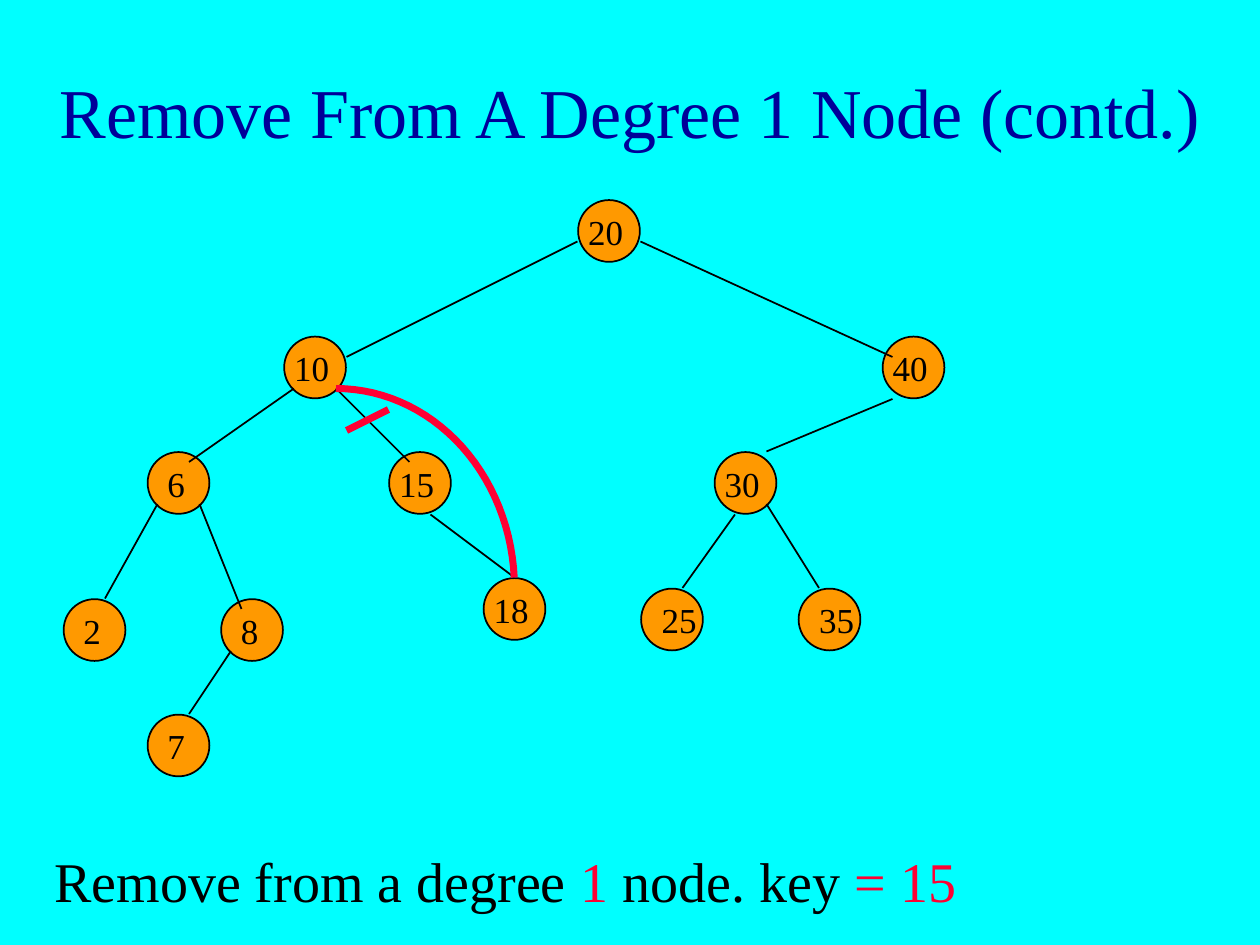
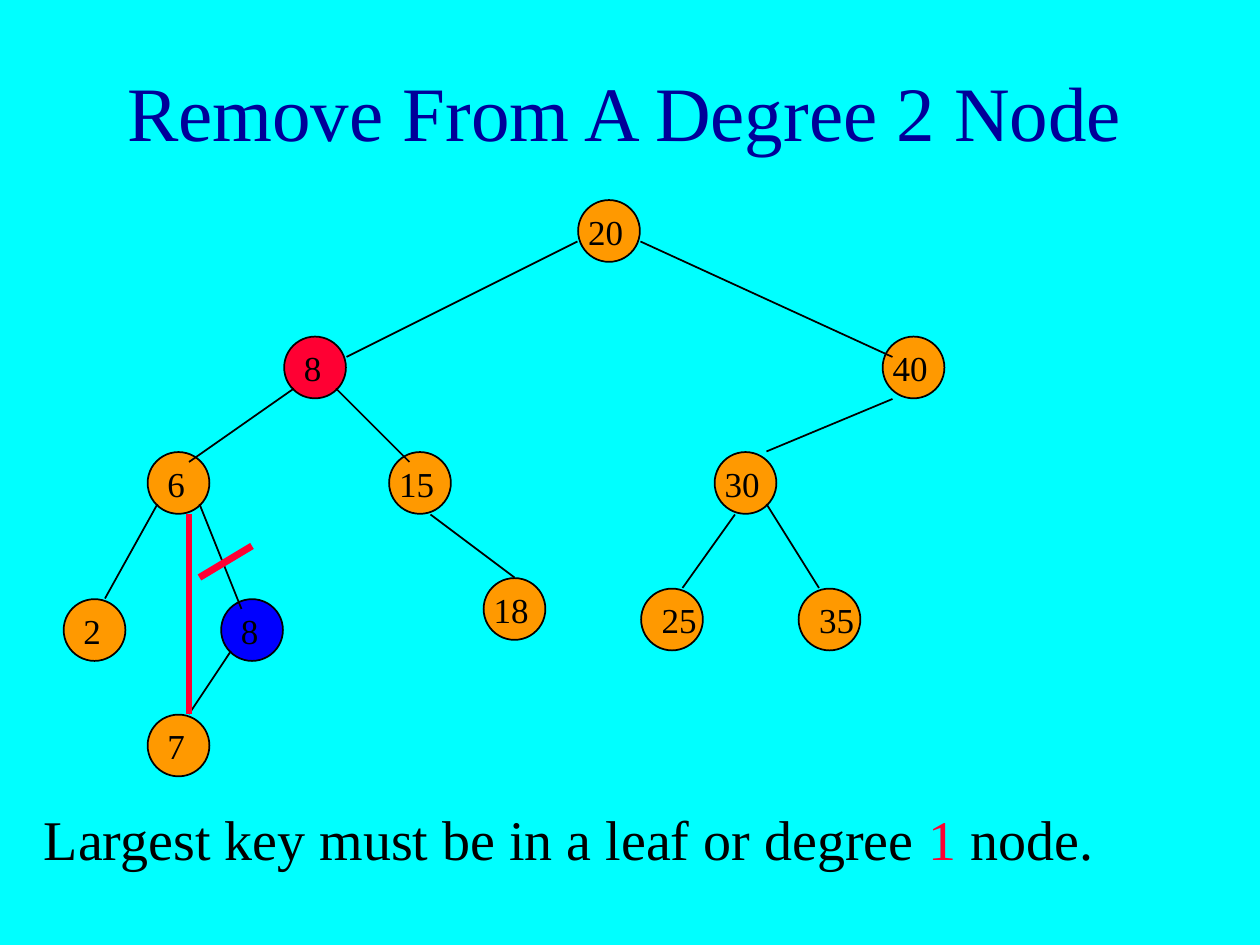
from math import cos, radians, sin

from lxml.etree import SubElement
from pptx import Presentation
from pptx.dml.color import RGBColor
from pptx.enum.shapes import MSO_CONNECTOR, MSO_SHAPE
from pptx.enum.text import MSO_ANCHOR, PP_ALIGN
from pptx.oxml.ns import qn
from pptx.util import Inches, Pt

CYAN = RGBColor(0x00, 0xFF, 0xFF)
NAVY = RGBColor(0x00, 0x00, 0x99)
BLACK = RGBColor(0x00, 0x00, 0x00)
ORANGE = RGBColor(0xFF, 0x99, 0x00)
RED = RGBColor(0xFF, 0x00, 0x33)
BLUE = RGBColor(0x00, 0x00, 0xFF)

FONT = "Times New Roman"
COLS, ROWS = 120, 90
NODE_SIZE = 5.88

# Key, then centre column and row
NODES = [
    (20, 58, 22), (10, 30, 35), (40, 87, 35), (6, 17, 46),
    (15, 40, 46), (30, 71, 46), (2, 9, 60), (8, 24, 60),
    (25, 64, 59), (35, 79, 59), (7, 17, 71), (18, 49, 58),
]
# Parent end, then child end
EDGES = [
    (55, 23, 33, 34), (61, 23, 85, 34), (28, 37, 18, 44),
    (32, 37, 39, 44), (85, 38, 73, 43), (15, 48, 10, 57),
    (19, 48, 23, 58), (70, 49, 65, 56), (73, 48, 78, 56),
    (22, 62, 18, 68), (41, 49, 49, 55),
]
LABEL_SHIFT = {25: 0.7, 35: 0.7}


class TreeDeck:
    """Style and current slide, on a grid of COLS by ROWS cells."""

    def __init__(self):
        self.prs = Presentation()
        self.prs.slide_width, self.prs.slide_height = Inches(10), Inches(7.5)
        self.s = None

    def x(self, col):
        return round(self.prs.slide_width * col / COLS)

    def y(self, row):
        return round(self.prs.slide_height * row / ROWS)

    def box(self, left, top, width, height):
        return self.x(left), self.y(top), self.x(width), self.y(height)

    def new_slide(self):
        self.s = self.prs.slides.add_slide(self.prs.slide_layouts[6])
        fill = self.s.background.fill
        fill.solid()
        fill.fore_color.rgb = CYAN

    def text(self, runs, at, size, color=BLACK, align=PP_ALIGN.LEFT,
             anchor=MSO_ANCHOR.TOP, wrap=True):
        """Add one paragraph; runs is a string or (text, colour) pairs."""
        tf = self.s.shapes.add_textbox(*self.box(*at)).text_frame
        tf.word_wrap = wrap
        tf.vertical_anchor = anchor
        p = tf.paragraphs[0]
        p.alignment = align
        for words, shade in [(runs, color)] if isinstance(runs, str) else runs:
            r = p.add_run()
            r.text = words
            r.font.name, r.font.size = FONT, Pt(size)
            r.font.color.rgb = shade

    def title(self, words, left, width, size):
        self.text(words, (left, 3, width, 15), size, color=NAVY,
                  align=PP_ALIGN.CENTER, anchor=MSO_ANCHOR.MIDDLE)

    def caption(self, runs, left, top):
        self.text(runs, (left, top, 108, 7.56), 32)

    def node(self, col, row, fill):
        half = NODE_SIZE / 2
        sp = self.s.shapes.add_shape(MSO_SHAPE.OVAL, *self.box(
            col - half, row - half, NODE_SIZE, NODE_SIZE))
        sp.shadow.inherit = False
        sp.fill.solid()
        sp.fill.fore_color.rgb = fill
        sp.line.color.rgb = BLACK
        sp.line.width = Pt(1)

    def label(self, key, col, row, shift):
        words = str(key)
        width, height = 2.4 + 1.68 * len(words), 5.16
        at = (col + shift - width / 2, row - height / 2, width, height)
        self.text(words, at, 20, wrap=False)

    def line(self, x1, y1, x2, y2, color=BLACK, weight=1):
        c = self.s.shapes.add_connector(
            MSO_CONNECTOR.STRAIGHT,
            self.x(x1), self.y(y1), self.x(x2), self.y(y2))
        c.line.color.rgb = color
        c.line.width = Pt(weight)
        SubElement(c._element.spPr, qn("a:effectLst"))

    def new_link(self, *ends):
        self.line(*ends, color=RED, weight=4)

    def curved_link(self, col, row, width, height, sweep=87):
        """Draw a quarter-ellipse that leaves (col, row) to the right and bends down."""
        points = [(self.x(col + width * sin(radians(a))),
                   self.y(row + height * (1 - cos(radians(a)))))
                  for a in range(0, sweep + 1, 3)]
        path = self.s.shapes.build_freeform(*points[0])
        path.add_line_segments(points[1:], close=False)
        sp = path.convert_to_shape()
        sp.shadow.inherit = False
        sp.fill.background()
        sp.line.color.rgb = RED
        sp.line.width = Pt(4)

    def tree(self, renamed=None, fills=None):
        """Draw the tree; renamed and fills are looked up by a node's first key."""
        renamed, fills = renamed or {}, fills or {}
        for key, col, row in NODES:
            self.node(col, row, fills.get(key, ORANGE))
        for edge in EDGES:
            self.line(*edge)
        for key, col, row in NODES:
            shown = renamed.get(key, key)
            shift = LABEL_SHIFT.get(key, -0.3 if shown > 9 else -0.2)
            self.label(shown, col, row, shift)


def main():
    deck = TreeDeck()

    deck.new_slide()
    deck.title("Remove From A Degree 1 Node (contd.)", 3, 114, 40)
    deck.caption([("Remove from a degree ", BLACK), ("1 ", RED),
                  ("node. key ", BLACK), ("= 15", RED)], 4, 80)
    deck.tree()
    deck.curved_link(32, 37, 17, 19)
    deck.new_link(37, 39, 33, 41)

    deck.new_slide()
    deck.title("Remove From A Degree 2 Node", 1, 117, 44)
    deck.tree(renamed={10: 8}, fills={10: RED, 8: BLUE})
    deck.caption([("Largest key must be in a leaf or degree ", BLACK),
                  ("1 ", RED), ("node.", BLACK)], 3, 76)
    deck.new_link(18, 49, 18, 68)
    deck.new_link(24, 52, 19, 55)

    deck.prs.save("out.pptx")


if __name__ == "__main__":
    main()
